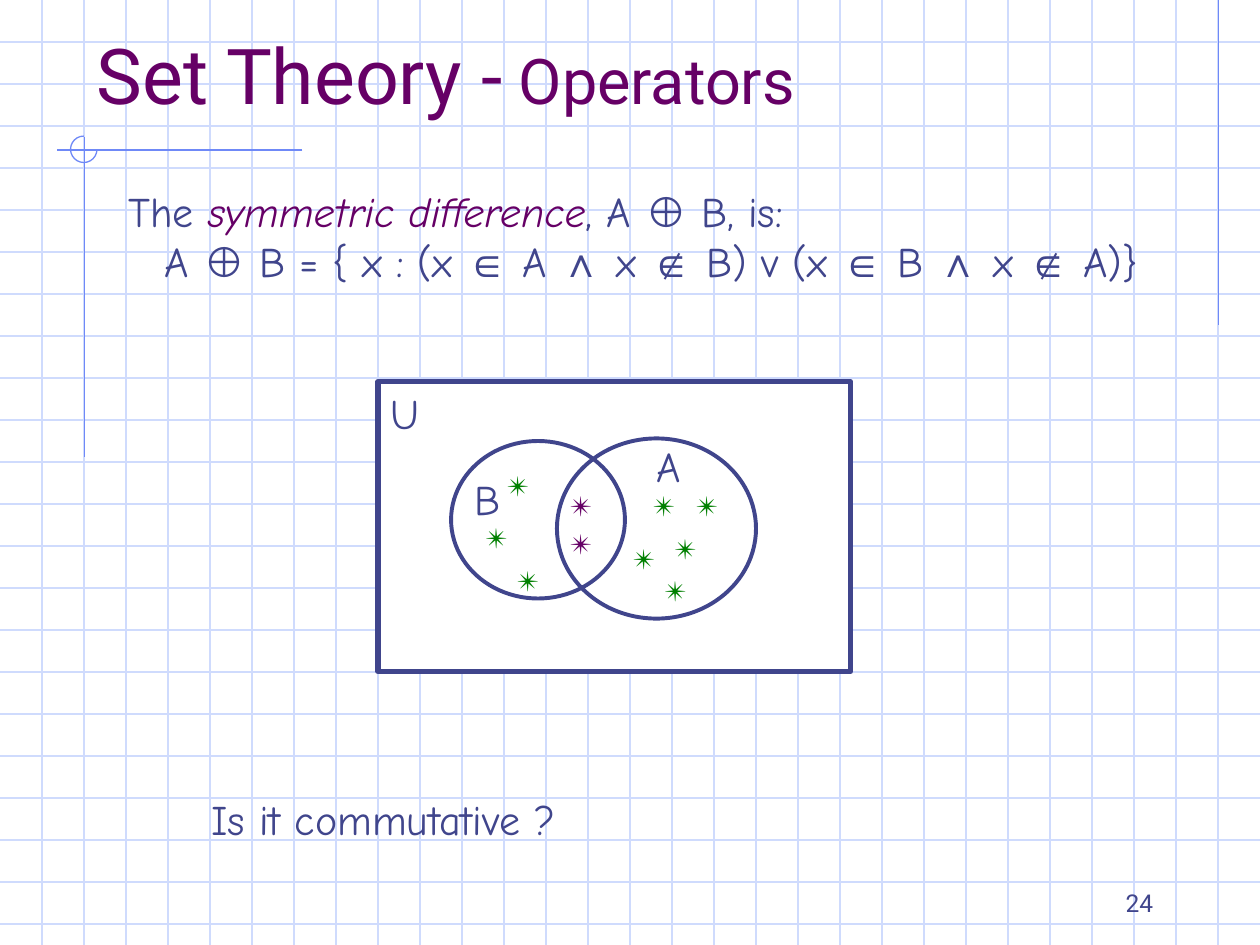
from dataclasses import dataclass
from typing import NamedTuple

from pptx import Presentation
from pptx.dml.color import RGBColor
from pptx.enum.shapes import MSO_CONNECTOR as Conn, MSO_SHAPE as Geo
from pptx.enum.text import MSO_ANCHOR as Anchor, PP_ALIGN as Align
from pptx.oxml.ns import qn
from pptx.util import Inches, Pt

COLORS = {
    "grid": "CFDBFD",
    "accent": "6F89F7",
    "ink": "40458C",
    "purple": "660066",
    "green": "008000",
    "white": "FFFFFF",
}
TITLE_FONT, BODY_FONT, SYMBOL_FONT = "Roboto", "Comic Neue", "Arial"
MATH_SYMBOLS = "⊕∈∧∉"
WIDTH, HEIGHT, GRID_STEP = 10, 7.5, 1 / 3


class Box(NamedTuple):
    left: float
    top: float
    width: float
    height: float


class Run(NamedTuple):
    text: str
    size: float = 24
    font: str = BODY_FONT
    color: str = "ink"
    italic: bool = False


@dataclass
class Para:
    runs: list[Run]
    align: Align = Align.LEFT
    spacing: float | None = None
    hanging: float = 0


@dataclass
class Outline:
    geometry: Geo
    box: Box
    weight: float
    line: str = "ink"
    fill: str | None = None


def rgb(name: str) -> RGBColor:
    return RGBColor.from_string(COLORS[name])


def math_runs(text: str) -> list[Run]:
    """Split text so that the mathematical symbols get the symbol font."""
    for symbol in MATH_SYMBOLS:
        text = text.replace(symbol, f"|{symbol}|")
    return [Run(part, font=SYMBOL_FONT if part in MATH_SYMBOLS else BODY_FONT)
            for part in text.split("|") if part]


def add_line(slide, x1: float, y1: float, x2: float, y2: float, color: str) -> None:
    line = slide.shapes.add_connector(
        Conn.STRAIGHT, Inches(x1), Inches(y1), Inches(x2), Inches(y2))
    line.line.color.rgb = rgb(color)
    line.line.width = Pt(0.75)
    sp_pr = line._element.spPr
    sp_pr.append(sp_pr.makeelement(qn("a:effectLst"), {}))


def add_outline(slide, item: Outline):
    sp = slide.shapes.add_shape(item.geometry, *map(Inches, item.box))
    sp.shadow.inherit = False
    if item.fill:
        sp.fill.solid()
        sp.fill.fore_color.rgb = rgb(item.fill)
    else:
        sp.fill.background()
    sp.line.color.rgb = rgb(item.line)
    sp.line.width = Pt(item.weight)
    return sp


def add_text(slide, box: Box, paras: list[Para], anchor: Anchor = Anchor.TOP) -> None:
    tf = slide.shapes.add_textbox(*map(Inches, box)).text_frame
    tf.word_wrap = True
    tf.vertical_anchor = anchor
    for i, para in enumerate(paras):
        p = tf.add_paragraph() if i else tf.paragraphs[0]
        p.alignment = para.align
        if para.spacing:
            p.line_spacing = para.spacing
        if para.hanging:
            p_pr = p._p.get_or_add_pPr()
            p_pr.set("marL", str(Inches(para.hanging)))
            p_pr.set("indent", str(-Inches(para.hanging)))
        for run in para.runs:
            r = p.add_run()
            r.text = run.text
            r.font.size = Pt(run.size)
            r.font.name = run.font
            r.font.italic = run.italic
            r.font.color.rgb = rgb(run.color)


def add_star(slide, left: float, top: float, color: str) -> None:
    star = Run("✴", 16, SYMBOL_FONT, color)
    add_text(slide, Box(left, top, 0.5, 0.37), [Para([star])])


def add_background(slide) -> None:
    for i in range(1, int(HEIGHT / GRID_STEP) + 1):
        add_line(slide, 0, i * GRID_STEP, WIDTH, i * GRID_STEP, "grid")
    for i in range(1, int(WIDTH / GRID_STEP)):
        add_line(slide, i * GRID_STEP, 0, i * GRID_STEP, HEIGHT, "grid")
    add_line(slide, 9.67, 0, 9.67, 2.58, "accent")
    add_line(slide, 2.4, 1.19, 0.45, 1.19, "accent")
    add_line(slide, 0.67, 1.09, 0.67, 3.63, "accent")
    arc = add_outline(slide, Outline(Geo.ARC, Box(0.56, 1.08, 0.21, 0.21), 0.75, "accent"))
    # Three quarters of a circle, clockwise from the right; 0.6 per degree
    arc.adjustments[0] = 0
    arc.adjustments[1] = 270 * 0.6


def add_venn(slide) -> None:
    add_outline(slide, Outline(Geo.RECTANGLE, Box(3, 3.03, 3.75, 2.3), 3, fill="white"))
    add_text(slide, Box(5.11, 3.49, 0.59, 0.69), [Para([Run("A")], spacing=0.9)])
    add_text(slide, Box(3, 3.03, 0.7, 0.81), [Para([Run("U")])])
    add_outline(slide, Outline(Geo.OVAL, Box(3.58, 3.5, 1.38, 1.25), 2.25, fill="white"))
    add_text(slide, Box(3.67, 3.75, 0.59, 0.69), [Para([Run("B")], spacing=0.9)])
    add_outline(slide, Outline(Geo.OVAL, Box(4.42, 3.48, 1.58, 1.43), 2.25))

    only_a = [(5.42, 3.83), (5.17, 4.5), (5.25, 4.17), (4.92, 4.25), (5.08, 3.83)]
    only_b = [(4, 4.42), (3.92, 3.67), (3.75, 4.08)]
    shared = [(4.42, 3.83), (4.42, 4.13)]
    for left, top in only_a + only_b:
        add_star(slide, left, top, "green")
    for left, top in shared:
        add_star(slide, left, top, "purple")


def main() -> None:
    prs = Presentation()
    prs.slide_width, prs.slide_height = Inches(WIDTH), Inches(HEIGHT)
    slide = prs.slides.add_slide(prs.slide_layouts[6])

    add_background(slide)
    add_text(slide, Box(7.17, 7.08, 2.08, 0.25),
             [Para([Run("24", 14, TITLE_FONT)], Align.RIGHT)], Anchor.BOTTOM)
    add_text(slide, Box(0.67, 0.33, 9, 0.67),
             [Para([Run("Set Theory -", 44, TITLE_FONT, "purple"),
                    Run(" Operators", 36, TITLE_FONT, "purple")])], Anchor.BOTTOM)
    definition = [Run("The "), Run("symmetric difference", color="purple", italic=True),
                  *math_runs(", A ⊕ B, is:")]
    formula = math_runs("A ⊕ B = { x : (x ∈ A ∧ x ∉ B) v (x ∈ B ∧ x ∉ A)}")
    add_text(slide, Box(0.92, 1.42, 8.5, 5.42),
             [Para(definition, hanging=0.38), Para(formula, Align.CENTER, hanging=0.38)])
    add_venn(slide)
    add_text(slide, Box(1.58, 6.25, 3.83, 0.5), [Para([Run("Is it commutative ?")])])

    prs.save("out.pptx")


if __name__ == "__main__":
    main()
